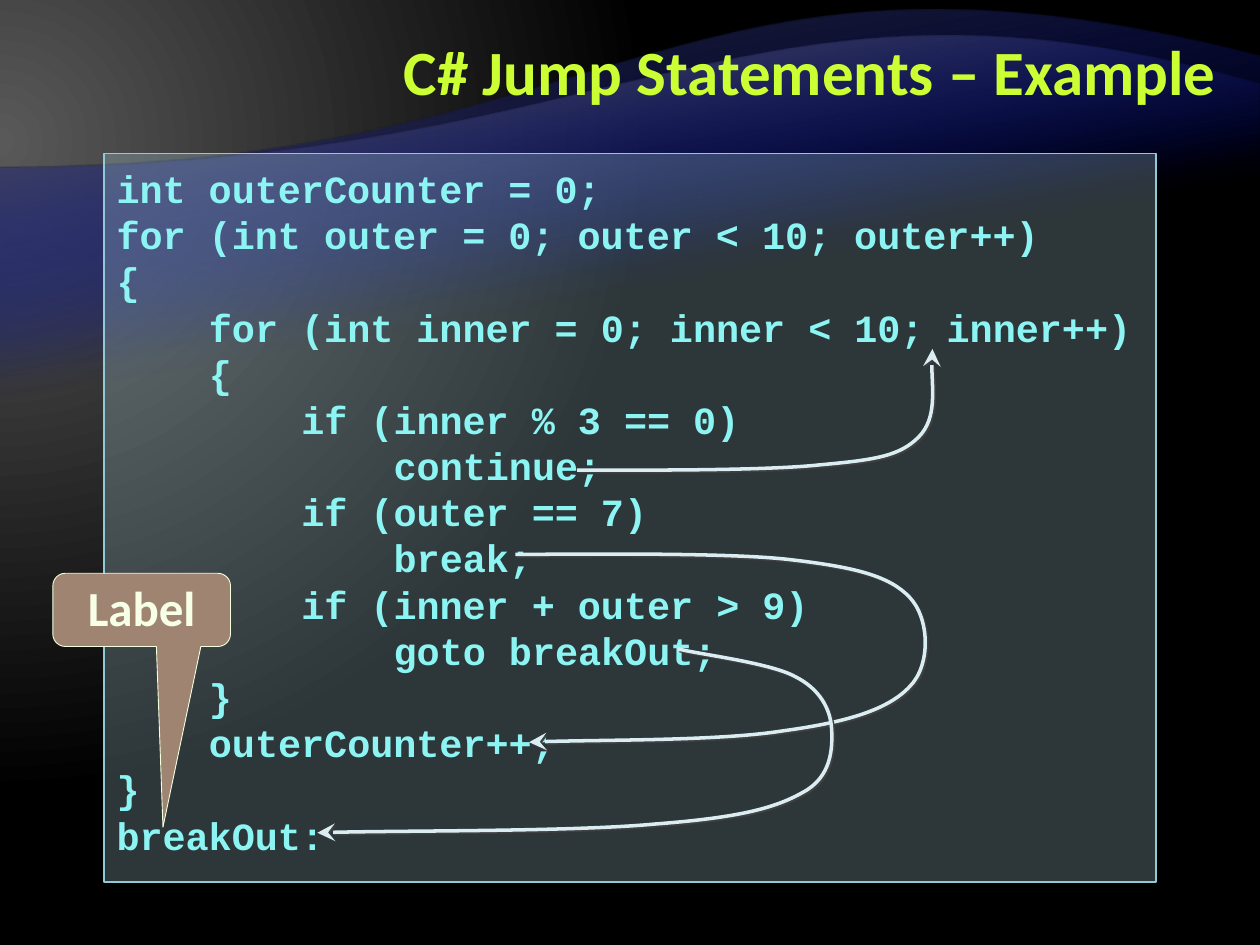
from dataclasses import dataclass

import pptx
import pptx.dml.color
import pptx.enum.shapes
import pptx.enum.text
import pptx.oxml
import pptx.oxml.ns
import pptx.util

Pt = pptx.util.Pt
qn = pptx.oxml.ns.qn
Align = pptx.enum.text.PP_ALIGN
Anchor = pptx.enum.text.MSO_ANCHOR
Preset = pptx.enum.shapes.MSO_SHAPE


@dataclass(frozen=True)
class Theme:
    heading_font: str = "Calibri"
    code_font: str = "Courier New"
    title_size: float = 36
    code_size: float = 22
    label_size: float = 28
    title: str = "CCFF33"
    code: str = "8CF4F2"
    panel: str = "B5DBE5"
    panel_line: str = "90CAD7"
    arrow: str = "DAEDF2"
    arrow_shadow: str = "404040"
    label: str = "F7FFE7"
    label_fill: str = "9F8471"
    label_line: str = "F5FFE0"
    glow: str = "595959"
    night: str = "000000"
    wave: str = "000D9E"
    wave_back: str = "262626"


def rgb(value):
    return pptx.dml.color.RGBColor.from_string(value)


def xml(markup):
    head, rest = markup.split(" ", 1) if " " in markup.split(">")[0] else markup.split(">", 1)
    joint = " " if " " in markup.split(">")[0] else ">"
    return pptx.oxml.parse_xml(f"{head} {pptx.oxml.ns.nsdecls('a')}{joint}{rest}")


def gradient(stops, direction):
    marks = "".join(
        f'<a:gs pos="{position * 1000}"><a:srgbClr val="{color}">'
        f'<a:alpha val="{opacity * 1000}"/></a:srgbClr></a:gs>'
        for position, color, opacity in stops)
    return xml(f'<a:gradFill rotWithShape="1"><a:gsLst>{marks}</a:gsLst>{direction}</a:gradFill>')


def replace_fill(parent, fill):
    solid = parent.find(qn("a:solidFill"))
    parent.replace(solid, fill)


def write(shape, lines, *, font, size, color, spacing, align=Align.LEFT,
          anchor=Anchor.MIDDLE, wrap=True, top=3.6, indent=0):
    frame = shape.text_frame
    frame.word_wrap = wrap
    frame.vertical_anchor = anchor
    frame.margin_top = Pt(top)
    for number, (depth, text) in enumerate(lines):
        paragraph = frame.paragraphs[0] if number == 0 else frame.add_paragraph()
        paragraph.alignment = align
        paragraph.line_spacing = Pt(spacing)
        if depth:
            paragraph._p.get_or_add_pPr().set("marL", str(Pt(depth * indent)))
        run = paragraph.add_run()
        run.text = text
        run.font.name, run.font.size, run.font.bold = font, Pt(size), True
        run.font.color.rgb = rgb(color)


class Canvas:
    def __init__(self, slide, theme):
        self.slide, self.theme = slide, theme

    def background(self):
        self.slide.background.fill.solid()
        direction = ('<a:path path="circle"><a:fillToRect l="20000" t="30000" '
                     'r="135000" b="100000"/></a:path>')
        stops = [(0, self.theme.glow, 100), (83, self.theme.night, 100)]
        replace_fill(self.slide.element.find(".//" + qn("p:bgPr")), gradient(stops, direction))

    def text(self, box, text, **format):
        shape = self.slide.shapes.add_textbox(*map(Pt, box))
        write(shape, [(0, text)], **format)

    def shape(self, preset, box, fill, line, width, opacity=100):
        shape = self.slide.shapes.add_shape(preset, *map(Pt, box))
        shape.shadow.inherit = False
        shape.fill.solid()
        shape.fill.fore_color.rgb = rgb(fill)
        if opacity < 100:
            color = shape._element.spPr.find(qn("a:solidFill"))[0]
            color.append(xml(f'<a:alpha val="{opacity * 1000}"/>'))
        shape.line.color.rgb = rgb(line)
        shape.line.width = Pt(width)
        return shape

    def outline(self, start, segments, close=False):
        ends = [segment[-1] for segment in segments]
        builder = self.slide.shapes.build_freeform(Pt(start[0]), Pt(start[1]), scale=1.0)
        builder.add_line_segments([(Pt(x), Pt(y)) for x, y in ends], close=close)
        shape = builder.convert_to_shape()
        shape.shadow.inherit = False
        left = min(x for x, y in [start] + ends)
        top = min(y for x, y in [start] + ends)
        line_marks = list(shape._element.iter(qn("a:lnTo")))
        for mark, segment in zip(line_marks, segments):
            if len(segment) == 3:
                points = "".join(f'<a:pt x="{Pt(x - left)}" y="{Pt(y - top)}"/>'
                                 for x, y in segment)
                mark.getparent().replace(mark, xml(f"<a:cubicBezTo>{points}</a:cubicBezTo>"))
        return shape

    def wave(self, bottom, curve, color):
        segments = [[(0, bottom)], [(0, 96)], curve]
        shape = self.outline((720, bottom), segments, close=True)
        shape.line.fill.background()
        shape.fill.solid()
        stops = [(65, self.theme.wave, 0), (100, color, 100)]
        replace_fill(shape._element.spPr,
                     gradient(stops, f'<a:lin ang="{260 * 60000}" scaled="0"/>'))

    def arrow(self, start, *curves):
        shape = self.outline(start, curves)
        shape.fill.background()
        shape.line.color.rgb = rgb(self.theme.arrow)
        shape.line.width = Pt(2)
        shape.line._get_or_add_ln().append(xml('<a:tailEnd type="stealth" w="lg" len="lg"/>'))
        shape._element.spPr.find(qn("a:effectLst")).append(xml(
            f'<a:outerShdw dist="{Pt(1.4)}" dir="{45 * 60000}">'
            f'<a:srgbClr val="{self.theme.arrow_shadow}"/></a:outerShdw>'))


CODE = [
    (0, "int outerCounter = 0;"),
    (0, "for (int outer = 0; outer < 10; outer++)"),
    (0, "{"),
    (1, "for (int inner = 0; inner < 10; inner++)"),
    (1, "{"),
    (2, "if (inner % 3 == 0)"),
    (3, "continue;"),
    (2, "if (outer == 7)"),
    (3, "break;"),
    (2, "if (inner + outer > 9)"),
    (3, "goto breakOut;"),
    (1, "}"),
    (1, "outerCounter++;"),
    (0, "}"),
    (0, "breakOut:"),
]

theme = Theme()
presentation = pptx.Presentation()
presentation.slide_width, presentation.slide_height = Pt(720), Pt(540)
slide = presentation.slides.add_slide(presentation.slide_layouts[6])
canvas = Canvas(slide, theme)

canvas.background()
canvas.wave(470, [(360, 96), (384, -54), (720, 32.4)], theme.wave_back)
canvas.wave(401, [(360, 96), (430.6, -35.3), (720, 48.2)], theme.glow)
canvas.text((144, 5.8, 558, 72), "C# Jump Statements – Example", font=theme.heading_font,
            size=theme.title_size, color=theme.title, spacing=40, align=Align.RIGHT)

panel = canvas.shape(Preset.RECTANGLE, (59.5, 87.8, 601.2, 416.2),
                     theme.panel, theme.panel_line, 1, opacity=25)
write(panel, CODE, font=theme.code_font, size=theme.code_size, color=theme.code,
      spacing=26.4, anchor=Anchor.TOP, wrap=False, top=6.5, indent=52.8)

canvas.arrow((329.8, 268.6),
             [(352.8, 268.6), (434.9, 269.3), (468, 265.7)],
             [(500.4, 262.8), (514.1, 260.6), (524.9, 249.8)],
             [(535.7, 239), (531.4, 210.2), (532.8, 199.4)])
canvas.arrow((294.5, 316.8),
             [(320.4, 316.8), (413.3, 315.4), (450.7, 319.7)],
             [(488.2, 324), (508.3, 329), (519.8, 341.3)],
             [(531.4, 353.5), (532.1, 380.2), (519.8, 392.4)],
             [(507.6, 405.4), (484.6, 412.6), (447.8, 417.6)],
             [(411.8, 423.4), (332.6, 422.6), (302.4, 424.1)])
canvas.arrow((387.4, 370.8),
             [(398.2, 373.7), (439.9, 378.7), (454.3, 386.6)],
             [(468.7, 393.8), (474.5, 405.4), (475.2, 416.2)],
             [(475.9, 427.7), (475.2, 444.2), (458.6, 452.9)],
             [(442.1, 462.2), (421.2, 467.3), (374.4, 470.9)],
             [(328.3, 475.2), (221.8, 474.5), (181.4, 475.9)])

label = canvas.shape(Preset.ROUNDED_RECTANGULAR_CALLOUT, (30.2, 327.6, 101.5, 41.8),
                     theme.label_fill, theme.label_line, 0.5)
for position, value in enumerate((0.12, 2.97, 0.17)):
    label.adjustments[position] = value
write(label, [(0, "Label")], font=theme.heading_font, size=theme.label_size,
      color=theme.label, spacing=30, align=Align.CENTER)

presentation.save("out.pptx")
